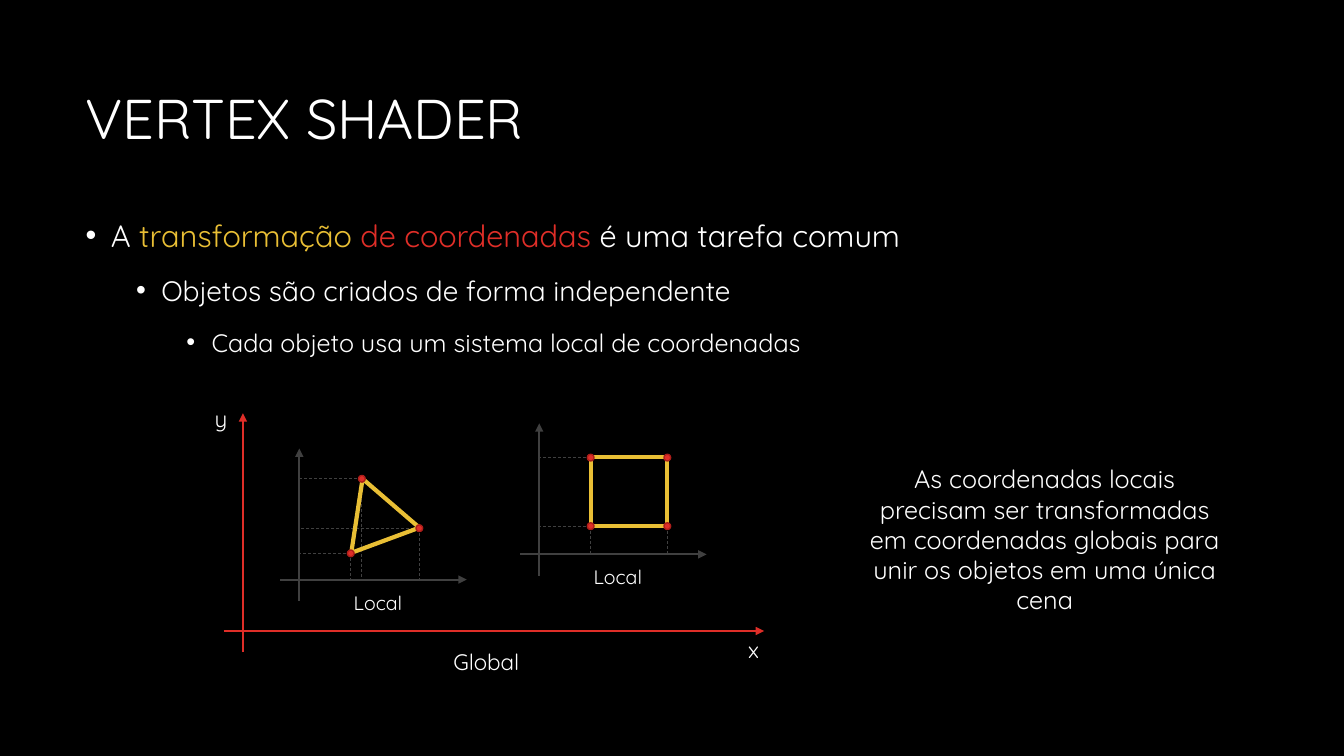
from dataclasses import dataclass
from typing import NamedTuple

from lxml.etree import SubElement
from pptx import Presentation
from pptx.dml.color import RGBColor as Rgb
from pptx.enum.dml import MSO_LINE as Dash
from pptx.enum.shapes import MSO_CONNECTOR as Connector, MSO_SHAPE as Preset
from pptx.enum.text import MSO_ANCHOR as Anchor, MSO_AUTO_SIZE as Fit, PP_ALIGN as Align
from pptx.oxml.ns import qn
from pptx.util import Inches, Pt

SLIDE_W, SLIDE_H = Inches(13.333), Inches(7.5)
CELL = SLIDE_W / 40  # the grid has 40 columns and 22.5 rows of square cells


@dataclass(frozen=True)
class Theme:
    font: str = "Quicksand"
    background: str = "000000"
    text: str = "FFFFFF"
    accent: str = "E9BF35"
    strong: str = "DF2E28"
    vertex_edge: str = "AC1E1A"
    local: str = "404040"
    title_size: int = 40
    level_sizes: tuple = (22, 20, 18)
    note_size: int = 18
    global_size: int = 16
    local_size: int = 14


class Box(NamedTuple):
    x: float
    y: float
    w: float
    h: float

    def inner(self, dx, dy, w, h):
        return Box(self.x + dx, self.y + dy, w, h)

    @property
    def bottom(self):
        return self.y + self.h

    @property
    def right(self):
        return self.x + self.w

    @property
    def origin(self):
        """Crossing of the axes, which overshoot it slightly."""
        return self.x + 0.57, self.bottom - 0.63


THEME = Theme()
TITLE_BOX = Box(2.25, 1.5, 35.5, 4.23)
BODY_BOX = Box(2.25, 6.18, 35.5, 14.07)
NOTE_BOX = Box(25.59, 13.65, 11, 4.86)
GLOBAL_BOX = Box(6.66, 12.3, 16.08, 7.11)
VERTEX = 0.2

BULLETS = [
    [("A ", THEME.text), ("transformação ", THEME.accent),
     ("de coordenadas ", THEME.strong), ("é uma tarefa comum", THEME.text)],
    [("Objetos são criados de forma independente", THEME.text)],
    [("Cada objeto usa um sistema local de coordenadas", THEME.text)],
]
NOTE = ("As coordenadas locais precisam ser transformadas em coordenadas "
        "globais para unir os objetos em uma única cena")

# Corners and outline start are measured right and up from the local origin.
OBJECTS = [
    dict(offset=(1.68, 1.05), preset=Preset.ISOSCELES_TRIANGLE, rotation=339.7,
         outline=(1.14, 3.06, 2.16, 1.95),
         corners=[(1.53, 0.78), (1.86, 3), (3.57, 1.53)]),
    dict(offset=(8.82, 0.3), preset=Preset.RECTANGLE, rotation=0,
         outline=(1.53, 2.91, 2.28, 2.07),
         corners=[(x, y) for x in (1.53, 3.81) for y in (0.84, 2.88)]),
]


def emu(*cells):
    return [round(cell * CELL) for cell in cells]


def apply_format(target, values):
    for name, value in values.items():
        setattr(target, name, value)


def add_run(paragraph, text, size, color=THEME.text):
    run = paragraph.add_run()
    run.text = text
    apply_format(run.font, dict(name=THEME.font, size=Pt(size)))
    run.font.color.rgb = Rgb.from_string(color)


def add_text(shapes, box, text, size, align=Align.LEFT, wrap=False):
    frame = shapes.add_textbox(*emu(*box)).text_frame
    apply_format(frame, dict(word_wrap=wrap, auto_size=Fit.SHAPE_TO_FIT_TEXT))
    frame.paragraphs[0].alignment = align
    add_run(frame.paragraphs[0], text, size)


def add_line(shapes, start, end, color, width, dashed=False, arrow=False):
    connector = shapes.add_connector(Connector.STRAIGHT, *emu(*start, *end))
    line = connector.line
    line.width = Pt(width)
    line.color.rgb = Rgb.from_string(color)
    if dashed:
        line.dash_style = Dash.DASH
    properties = connector._element.spPr
    if arrow:
        SubElement(properties.find(qn("a:ln")), qn("a:tailEnd"), type="triangle")
    SubElement(properties, qn("a:effectLst"))


def add_figure(shapes, preset, box, edge, width, fill=None, rotation=0):
    figure = shapes.add_shape(preset, *emu(*box))
    figure.rotation = rotation
    figure.shadow.inherit = False
    figure.line.width = Pt(width)
    figure.line.color.rgb = Rgb.from_string(edge)
    if fill:
        figure.fill.solid()
        figure.fill.fore_color.rgb = Rgb.from_string(fill)
    else:
        figure.fill.background()


def place(holder, box):
    apply_format(holder, dict(zip(("left", "top", "width", "height"), emu(*box))))
    apply_format(holder.text_frame, dict(auto_size=Fit.NONE, word_wrap=True))
    return holder.text_frame


def fill_title(holder, box):
    frame = place(holder, box)
    frame.vertical_anchor = Anchor.MIDDLE
    paragraph = frame.paragraphs[0]
    apply_format(paragraph, dict(alignment=Align.LEFT, line_spacing=0.9))
    add_run(paragraph, "VERTEX SHADER", THEME.title_size)


def fill_body(holder, box):
    frame = place(holder, box)
    for level, (runs, size) in enumerate(zip(BULLETS, THEME.level_sizes)):
        paragraph = frame.add_paragraph() if level else frame.paragraphs[0]
        apply_format(paragraph, dict(level=level, line_spacing=1.1,
                                     space_before=Pt(12 if level else 10)))
        properties = paragraph._p.get_or_add_pPr()
        properties.set("marL", str(Inches(0.25 + 0.5 * level)))
        properties.set("indent", str(Inches(-0.25)))
        SubElement(properties, qn("a:buFont"), typeface="Arial")
        SubElement(properties, qn("a:buChar"), char="•")
        for text, color in runs:
            add_run(paragraph, text, size, color)


def draw_axes(shapes, box, color):
    x0, y0 = box.origin
    add_line(shapes, (x0, box.bottom), (x0, box.y), color, 1.5, arrow=True)
    add_line(shapes, (box.x, y0), (box.right, y0), color, 1.5, arrow=True)


def draw_guides(shapes, origin, corners):
    """Drop one dashed line to each axis per distinct coordinate."""
    x0, y0 = origin
    for x in {x for x, _ in corners}:
        lowest = min(y for cx, y in corners if cx == x)
        add_line(shapes, (x0 + x, y0 - lowest), (x0 + x, y0), THEME.local, 0.5, dashed=True)
    for y in {y for _, y in corners}:
        nearest = min(x for x, cy in corners if cy == y)
        add_line(shapes, (x0 + nearest, y0 - y), (x0, y0 - y), THEME.local, 0.5, dashed=True)


def draw_local_system(shapes, box, preset, rotation, outline, corners):
    x0, y0 = box.origin
    draw_axes(shapes, box, THEME.local)
    draw_guides(shapes, box.origin, corners)
    dx, up, w, h = outline
    add_figure(shapes, preset, Box(x0 + dx, y0 - up, w, h), THEME.accent, 3, rotation=rotation)
    for x, y in corners:
        dot = Box(x0 + x - VERTEX / 2, y0 - y - VERTEX / 2, VERTEX, VERTEX)
        add_figure(shapes, Preset.OVAL, dot, THEME.vertex_edge, 1, THEME.strong)
    add_text(shapes, box.inner(1.89, box.h - 0.45, 2.16, 1.02), "Local", THEME.local_size)


def draw_global_system(slide, box):
    shapes = slide.shapes.add_group_shape().shapes
    draw_axes(shapes, box, THEME.strong)
    for text, label, align in (
        ("x", box.inner(15.3, 6.48, 0.93, 1.11), Align.CENTER),
        ("y", box.inner(-0.57, -0.39, 0.96, 1.11), Align.CENTER),
        ("Global", box.inner(6.54, 6.84, 2.82, 1.11), Align.LEFT),
    ):
        add_text(shapes, label, text, THEME.global_size, align)
    for item in OBJECTS:
        details = {key: value for key, value in item.items() if key != "offset"}
        local_box = box.inner(*item["offset"], 5.55, 4.53)
        draw_local_system(slide.shapes.add_group_shape().shapes, local_box, **details)


def main():
    deck = Presentation()
    apply_format(deck, dict(slide_width=SLIDE_W, slide_height=SLIDE_H))
    slide = deck.slides.add_slide(deck.slide_layouts[1])
    slide.background.fill.solid()
    slide.background.fill.fore_color.rgb = Rgb.from_string(THEME.background)
    fill_title(slide.shapes.title, TITLE_BOX)
    fill_body(slide.placeholders[1], BODY_BOX)
    add_text(slide.shapes, NOTE_BOX, NOTE, THEME.note_size, Align.CENTER, wrap=True)
    draw_global_system(slide, GLOBAL_BOX)
    deck.save("out.pptx")


if __name__ == "__main__":
    main()
